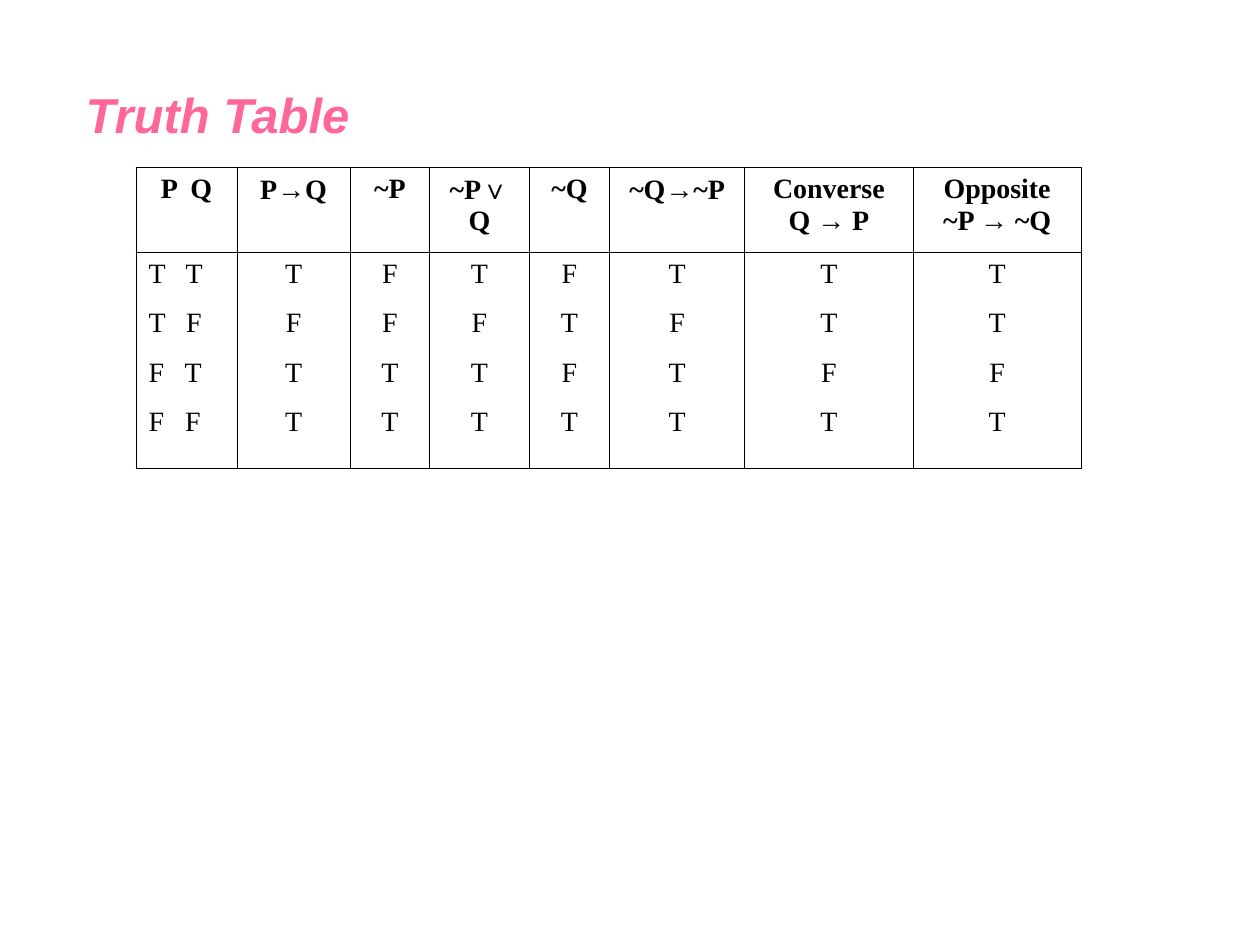
import pptx
import pptx.dml.color
import pptx.enum.text
import pptx.oxml
import pptx.oxml.ns
import pptx.util
from pptx.util import Inches

PINK = pptx.dml.color.RGBColor(0xFF, 0x66, 0x99)
BLACK = pptx.dml.color.RGBColor(0x00, 0x00, 0x00)
SERIF = "Times New Roman"
SANS = "Arial"
OPERATORS = "→∨"
COLUMN_WIDTHS = [0.8, 0.9, 0.63, 0.79, 0.64, 1.07, 1.34, 1.33]
ROW_HEIGHTS = [0.67, 1.72]
COLUMNS = [
    (["P  Q"], ["T   T", "T   F", "F   T", "F   F"]),
    (["P→Q"], "TFTT"),
    (["~P"], "FFTT"),
    (["~P∨Q"], "TFTT"),
    (["~Q"], "FTFT"),
    (["~Q→~P"], "TFTT"),
    (["Converse", "Q → P"], "TTFT"),
    (["Opposite", "~P → ~Q"], "TTFT"),
]


def add_run(paragraph, text, font_name, size, color, bold=False, italic=False):
    """Append one formatted run to a paragraph."""
    run = paragraph.add_run()
    run.text = text
    run.font.name = font_name
    run.font.size = pptx.util.Pt(size)
    run.font.color.rgb = color
    run.font.bold = bold
    run.font.italic = italic


def split_operators(text):
    """Split a formula into operands and logical operators."""
    for operator in OPERATORS:
        if operator in text:
            left, right = text.split(operator)
            return [left, operator, right]
    return [text]


def add_border(cell):
    """Draw a thin black line on all four sides of a cell."""
    properties = cell._tc.get_or_add_tcPr()
    for position, side in enumerate(["lnL", "lnR", "lnT", "lnB"]):
        line = pptx.oxml.parse_xml(
            f'<a:{side} {pptx.oxml.ns.nsdecls("a")} w="{pptx.util.Pt(0.45)}">'
            f'<a:solidFill><a:srgbClr val="{BLACK}"/></a:solidFill></a:{side}>'
        )
        properties.insert(position, line)


def fill_cell(cell, lines, alignment, bold, gap):
    """Write lines into a cell, with a gap in points after each line."""
    cell.fill.background()
    add_border(cell)
    for index, line in enumerate(lines):
        frame = cell.text_frame
        paragraph = frame.add_paragraph() if index else frame.paragraphs[0]
        paragraph.alignment = alignment
        paragraph.space_after = pptx.util.Pt(gap)
        for text in split_operators(line):
            font_name = SANS if text in OPERATORS else SERIF
            add_run(paragraph, text, font_name, 16, BLACK, bold)


def add_title(slide, left, top, width, height):
    """Place the slide title in its placeholder."""
    title = slide.shapes.title
    title.left, title.top, title.width, title.height = left, top, width, height
    frame = title.text_frame
    frame.auto_size = pptx.enum.text.MSO_AUTO_SIZE.NONE
    frame.vertical_anchor = pptx.enum.text.MSO_ANCHOR.TOP
    paragraph = frame.paragraphs[0]
    paragraph.alignment = pptx.enum.text.PP_ALIGN.LEFT
    paragraph.space_before = pptx.util.Pt(7)
    paragraph.line_spacing = 0.9
    add_run(paragraph, "Truth Table", SANS, 28, PINK, bold=True, italic=True)


def add_truth_table(slide, left, top, width, height):
    """Place the truth table, scaling columns and rows to its box."""
    shape = slide.shapes.add_table(2, len(COLUMNS), left, top, width, height)
    table = shape.table
    table.first_row = False
    table.horz_banding = False
    for column, share in zip(table.columns, COLUMN_WIDTHS):
        column.width = int(width * share / sum(COLUMN_WIDTHS))
    for row, share in zip(table.rows, ROW_HEIGHTS):
        row.height = int(height * share / sum(ROW_HEIGHTS))
    align = pptx.enum.text.PP_ALIGN
    for index, (heading, values) in enumerate(COLUMNS):
        value_alignment = align.CENTER if index else align.LEFT
        fill_cell(table.cell(0, index), heading, align.CENTER, True, 0)
        fill_cell(table.cell(1, index), values, value_alignment, False, 10.5)


def main():
    """Build and save the presentation."""
    presentation = pptx.Presentation()
    presentation.slide_width = Inches(10)
    presentation.slide_height = Inches(7.5)
    slide = presentation.slides.add_slide(presentation.slide_layouts[5])
    add_title(slide, Inches(0.58), Inches(0.67), Inches(9), Inches(6.25))
    add_truth_table(slide, Inches(1.08), Inches(1.33), Inches(7.5), Inches(2.39))
    presentation.save("out.pptx")


if __name__ == "__main__":
    main()
